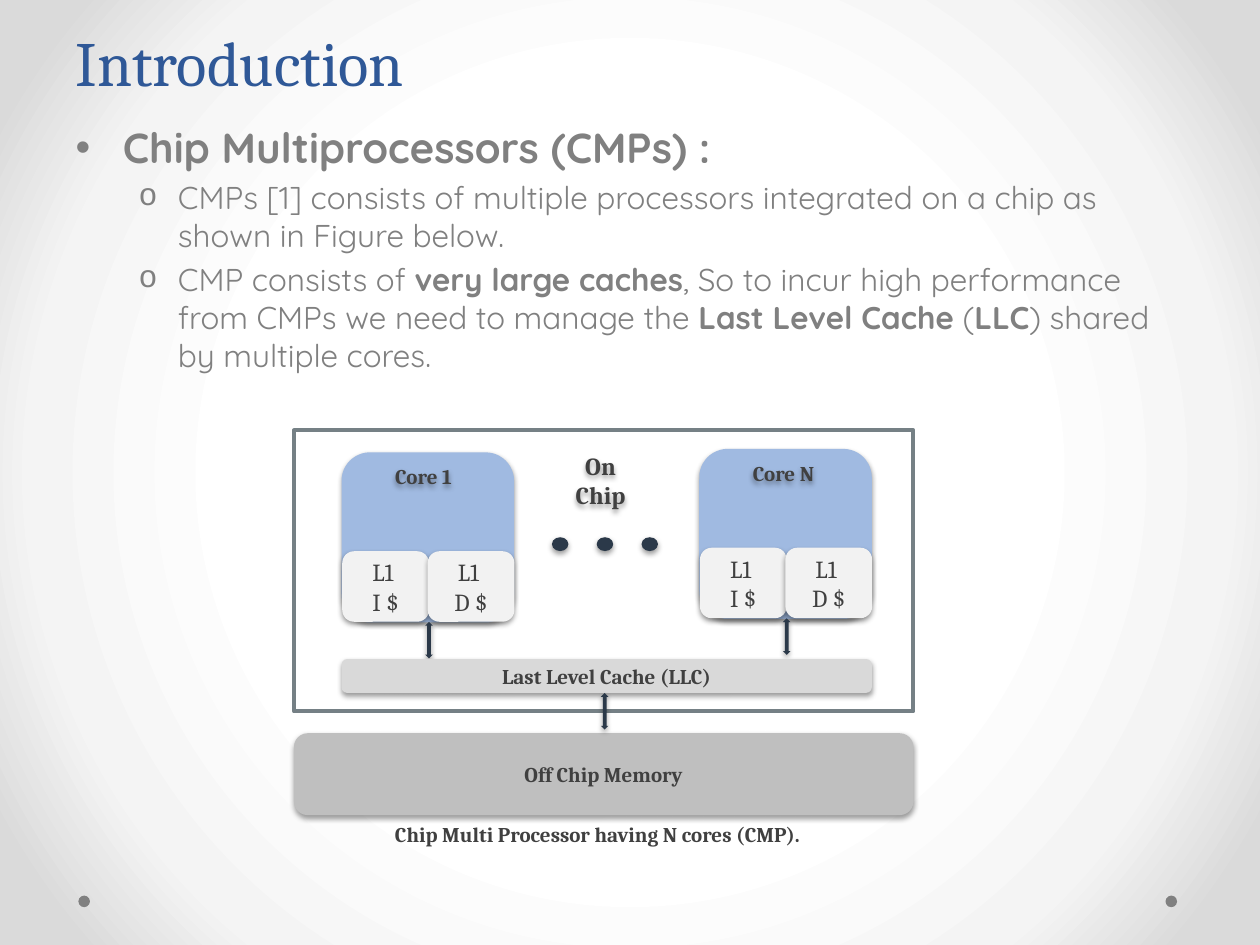
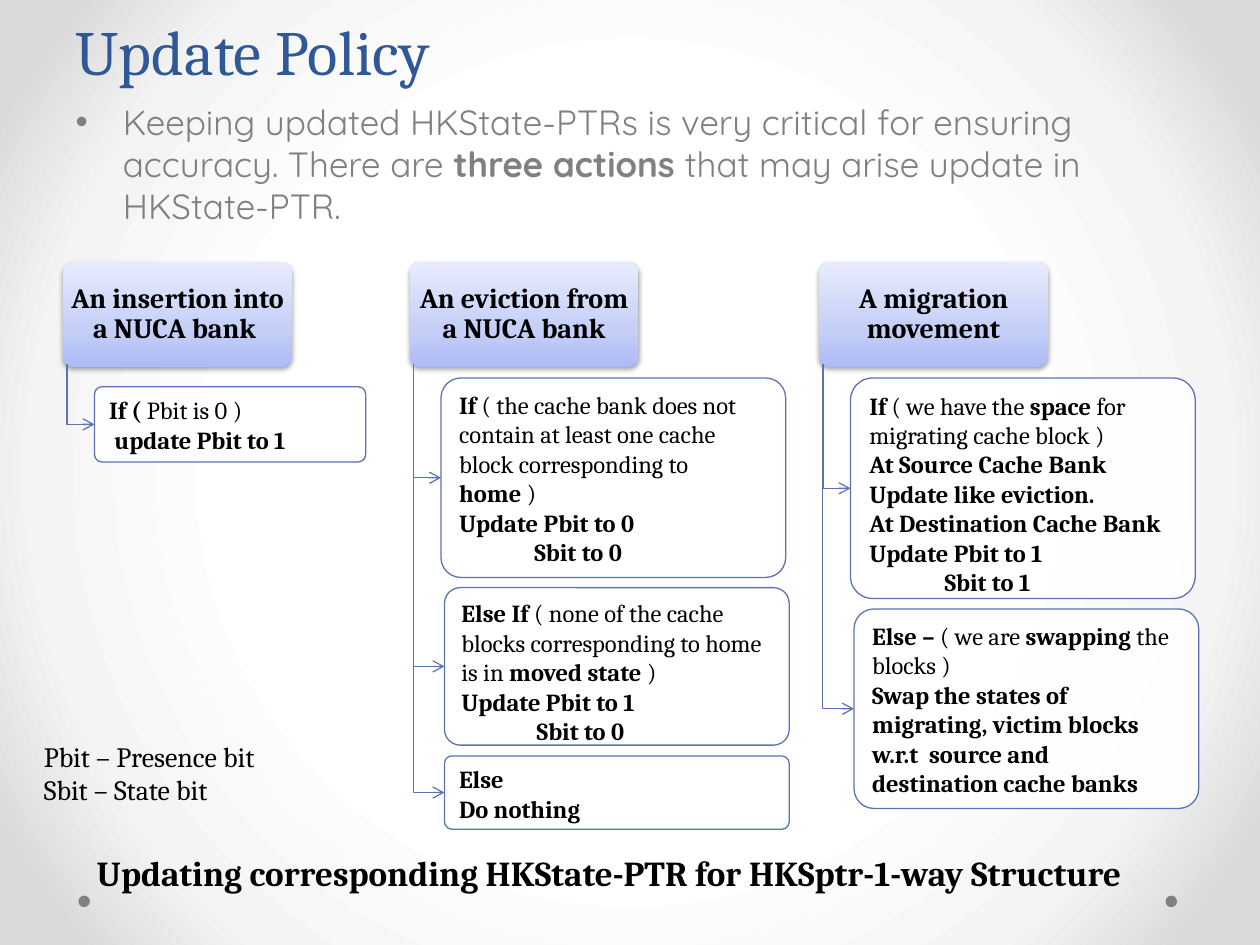
"""Build two slides on chip multiprocessors and the update policy of HKState-PTR."""
from pptx import Presentation
from pptx.dml.color import RGBColor
from pptx.enum import shapes, text
from pptx.oxml import ns, parse_xml
from pptx.util import Pt

COLOURS = {
    "title": "2F5897", "body": "808080", "ink": "404040", "black": "000000",
    "white": "FFFFFF", "frame": "758085", "core": "A0BAE1", "cell": "F2F2F2",
    "dark": "2B3949", "cache": "D9D9D9", "memory": "BFBFBF", "rule": "5C72B2",
}
BACKDROP = [(50, "FFFFFF"), (76, "F4F4F4"), (92, "DADADA")]
HEADER_STOPS = [(0, "ADBBF6"), (35, "C5CFF8"), (100, "E8ECFD")]
RADIAL = '<a:path path="circle"><a:fillToRect l="50000" t="50000" r="50000" b="50000"/></a:path>'
UPWARD = '<a:lin ang="16200000" scaled="0"/>'
SERIF, SANS = "Cambria", "Quicksand"
KIND = shapes.MSO_SHAPE
LEFT, CENTER = text.PP_ALIGN.LEFT, text.PP_ALIGN.CENTER
TOP, MIDDLE, BOTTOM = text.MSO_ANCHOR.TOP, text.MSO_ANCHOR.MIDDLE, text.MSO_ANCHOR.BOTTOM

# Asterisks switch bold on and off, and ">" indents a paragraph.
INTRODUCTION = [
    (0, 24, "*Chip Multiprocessors (CMPs) :*"),
    (1, 18, "CMPs [1] consists of multiple processors integrated on a chip as "
            "shown in Figure below."),
    (1, 18, "CMP consists of *very large caches*, So to incur high performance from "
            "CMPs we need to manage the *Last Level Cache *(*LLC*) shared by multiple cores."),
]
POLICY = [
    (0, 20, "Keeping updated HKState-PTRs is very critical for ensuring accuracy. "
            "There are *three actions *that may arise update in HKState-PTR."),
]
CORES = [("Core 1", 195.2, 258.5), ("Core N", 399.6, 256.5)]
CELLS = [["L1 ", "I $"], ["L1 ", "D $"]]
ACTIONS = [
    {"head": "An insertion into a NUCA bank ", "left": 36, "boxes": [
        (54, 221, 155, 43, ["*If ( *Pbit is 0 )", " *update Pbit to 1 *"])]},
    {"head": "An eviction from a NUCA bank", "left": 234, "boxes": [
        (252, 216, 197, 114, [
            "*If *( the cache bank does not contain at least one cache block "
            "corresponding to *home* )", "*Update Pbit to 0*", ">*Sbit to 0*"]),
        (254, 335.8, 197, 90, [
            "*Else If *( none of the cache blocks corresponding to home is in "
            "*moved state *)", "*Update Pbit to 1*", ">*Sbit to 0*"]),
        (254, 432, 197, 41.8, ["*Else *", "*Do nothing*"])]},
    {"head": "A migration movement", "left": 468, "boxes": [
        (486, 216, 197, 126, [
            "*If *( we have the *space* for migrating cache block )",
            "*At Source Cache Bank Update like eviction.*",
            "*At Destination Cache Bank*", "*Update Pbit to 1*", ">*Sbit to 1*"]),
        (488, 348, 197, 114, [
            "*Else – *( we are *swapping* the blocks )",
            "*Swap the states of migrating, victim blocks w.r.t  source and "
            "destination cache banks*"])]},
]


def colour(name):
    return RGBColor.from_string(COLOURS[name])


def paint_gradient(holder, stops, direction):
    marks = "".join(f'<a:gs pos="{at * 1000}"><a:srgbClr val="{shade}"/></a:gs>'
                    for at, shade in stops)
    gradient = parse_xml(f'<a:gradFill {ns.nsdecls("a")} rotWithShape="1">'
                         f'<a:gsLst>{marks}</a:gsLst>{direction}</a:gradFill>')
    holder.replace(holder.find(ns.qn("a:solidFill")), gradient)


def add_shadow(shape, alpha=38):
    shape.shadow.inherit = False
    shape.element.spPr.find(ns.qn("a:effectLst")).append(parse_xml(
        f'<a:outerShdw {ns.nsdecls("a")} blurRad="{Pt(3.1)}" dist="{Pt(1.6)}" dir="5400000" '
        f'rotWithShape="0"><a:srgbClr val="000000"><a:alpha val="{alpha * 1000}"/>'
        '</a:srgbClr></a:outerShdw>'))


def write_spans(para, marked, size, ink, font):
    for order, piece in enumerate(marked.split("*")):
        if piece:
            span = para.add_run()
            span.text = piece
            span.font.size, span.font.name = Pt(size), font
            span.font.bold = order % 2 == 1
            span.font.color.rgb = colour(ink)


def write(shape, lines, size, ink="ink", align=CENTER, anchor=MIDDLE):
    frame = shape.text_frame
    frame.word_wrap, frame.vertical_anchor = True, anchor
    for order, line in enumerate(lines):
        para = frame.paragraphs[0] if order == 0 else frame.add_paragraph()
        para.alignment = align
        if line.startswith(">"):
            para._p.get_or_add_pPr().set("marL", str(Pt(43)))
        write_spans(para, line.lstrip(">"), size, ink, SERIF)
    return frame


def add_box(page, kind, left, top, width, height, fill, line=None, weight=0.75):
    box = page.shapes.add_shape(kind, Pt(left), Pt(top), Pt(width), Pt(height))
    box.shadow.inherit = False
    box.fill.solid()
    box.fill.fore_color.rgb = colour(fill)
    if line:
        box.line.color.rgb, box.line.width = colour(line), Pt(weight)
    else:
        box.line.fill.background()
    return box


def add_label(page, left, top, width, height, lines, size, ink="ink", align=LEFT):
    label = page.shapes.add_textbox(Pt(left), Pt(top), Pt(width), Pt(height))
    write(label, lines, size, ink, align, TOP)
    return label


def add_raised(page, kind, left, top, width, height, fill, lines=(), size=12):
    box = add_box(page, kind, left, top, width, height, fill)
    add_shadow(box)
    write(box, lines, size)
    return box


def add_elbow(page, x, start, end_x, end):
    drop, reach = end - start, end_x - x
    elbow = page.shapes.add_connector(shapes.MSO_CONNECTOR.ELBOW, 0, 0, 0, 0)
    elbow.left, elbow.top = Pt((x + end_x - drop) / 2), Pt((start + end - reach) / 2)
    elbow.width, elbow.height = Pt(drop), Pt(reach)
    elbow.line.color.rgb, elbow.line.width = colour("rule"), Pt(0.75)
    props = elbow.element.spPr
    props.find(ns.qn("a:prstGeom")).set("prst", "bentConnector2")
    props.find(ns.qn("a:xfrm")).set("rot", "16200000")
    props.find(ns.qn("a:xfrm")).set("flipH", "1")
    props.find(ns.qn("a:ln")).append(parse_xml(f'<a:tailEnd {ns.nsdecls("a")} type="arrow"/>'))
    props.append(parse_xml(f'<a:effectLst {ns.nsdecls("a")}/>'))


def place(holder, top, height):
    holder.left, holder.top, holder.width, holder.height = Pt(36), Pt(top), Pt(648), Pt(height)
    holder.text_frame.auto_size = text.MSO_AUTO_SIZE.NONE
    return holder.text_frame


def add_page(deck, title, split, items):
    page = deck.slides.add_slide(deck.slide_layouts[1])
    place(page.shapes.title, 0, split)
    write(page.shapes.title, [title], 36, "title", LEFT, BOTTOM)
    page.shapes.title.text_frame.paragraphs[0].line_spacing = Pt(58)
    frame = place(page.placeholders[1], split, 482 - split)
    for order, (level, size, marked) in enumerate(items):
        para = frame.paragraphs[0] if order == 0 else frame.add_paragraph()
        para.level = level
        write_spans(para, marked, size, "body", SANS)
        if level:
            props = para._p.get_or_add_pPr()
            props.append(parse_xml(f'<a:buFont {ns.nsdecls("a")} typeface="Courier New"/>'))
            props.append(parse_xml(f'<a:buChar {ns.nsdecls("a")} char="o"/>'))
    return page


def dress_master(deck, page):
    master = deck.slide_master
    master.background.fill.solid()
    paint_gradient(master.element.find(".//" + ns.qn("p:bgPr")), BACKDROP, RADIAL)
    for left in (44.8, 666):
        dot = add_box(page, KIND.OVAL, left, 511.8, 6.6, 6.6, "body")
        master.element.cSld.spTree.append(dot.element)


def draw_chip(page):
    add_box(page, KIND.RECTANGLE, 168, 246, 354, 160.6, "white", "frame", 2.25)
    for name, left, top in CORES:
        add_raised(page, KIND.ROUNDED_RECTANGLE, left, top, 98.6, 97.2, "core")
        add_shadow(add_label(page, left + 23.5, top + 2.9, 61, 20, [f"*{name}*"], 12))
        for order, lines in enumerate(CELLS):
            add_raised(page, KIND.ROUNDED_RECTANGLE, left + 0.4 + 48.8 * order, top + 56.5,
                       49.6, 40.3, "cell", lines, 14)
        add_raised(page, KIND.UP_DOWN_ARROW, left + 47.8, top + 96.8, 4.3, 20.9, "dark")
    for order in range(3):
        add_raised(page, KIND.OVAL, 315.4 + 25.6 * order, 307, 9.4, 7.9, "dark")
    add_raised(page, KIND.ROUNDED_RECTANGLE, 195.2, 376.6, 303, 19.4, "cache",
               ["*Last Level Cache (LLC)*"])
    add_raised(page, KIND.ROUNDED_RECTANGLE, 168, 419, 354, 46.8, "memory",
               ["*Off Chip Memory*"])
    add_raised(page, KIND.UP_DOWN_ARROW, 343.4, 396, 4.3, 20.9, "dark")
    add_shadow(add_label(page, 314, 254.2, 58.3, 40, ["*On Chip*"], 14, align=CENTER))
    add_label(page, 216, 465.8, 268.6, 21.6, ["* Chip Multi Processor having N cores (CMP).*"], 12)


def draw_action(page, head, left, boxes):
    header = add_raised(page, KIND.ROUNDED_RECTANGLE, left, 149.8, 131, 59.8, "white")
    header.adjustments[0] = 0.1
    paint_gradient(header.element.spPr, HEADER_STOPS, UPWARD)
    frame = write(header, [f"*{head}*"], 16, "black")
    frame.margin_left = frame.margin_right = Pt(2.9)
    frame.margin_top = frame.margin_bottom = Pt(2.2)
    frame.paragraphs[0].line_spacing = 0.9
    start = 208
    for box_left, top, width, height, lines in boxes:
        box = add_box(page, KIND.ROUNDED_RECTANGLE, box_left, top, width, height, "white", "rule")
        box.adjustments[0] = 0.1
        box.element.spPr.find(ns.qn("a:solidFill"))[0].append(
            parse_xml(f'<a:alpha {ns.nsdecls("a")} val="90000"/>'))
        write(box, lines, 14, "black", LEFT, TOP)
        middle = top + height / 2
        add_elbow(page, left + 2.2, start, box_left, middle)
        start = middle


deck = Presentation()
deck.slide_width, deck.slide_height = Pt(720), Pt(540)
chip = add_page(deck, "Introduction", 60, INTRODUCTION)
place(chip.placeholders[1], 66, 416)
dress_master(deck, chip)
draw_chip(chip)
policy = add_page(deck, "Update Policy", 54, POLICY)
for action in ACTIONS:
    draw_action(policy, **action)
add_label(policy, 48.2, 483, 628, 31.7,
          ["*Updating corresponding HKState-PTR for HKSptr-1-way Structure*"], 20, "black")
add_label(policy, 18, 419, 144.7, 46, ["Pbit – Presence bit", "Sbit – State bit"], 16, "black")
deck.save("out.pptx")
